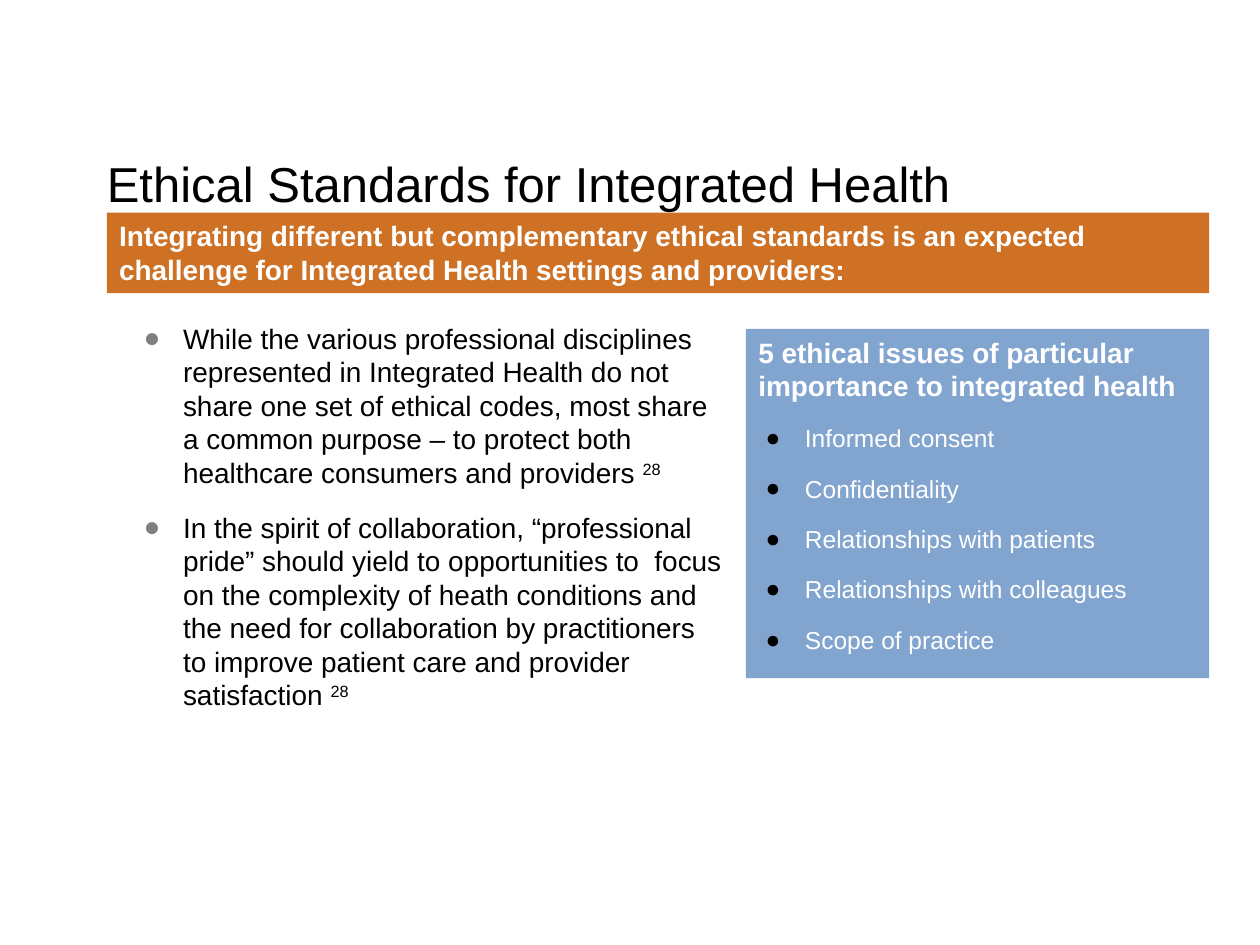
import pptx
import pptx.util
import pptx.dml.color
import pptx.enum.shapes
import pptx.enum.text
import pptx.oxml.ns
import lxml.etree

Pt = pptx.util.Pt
RGBColor = pptx.dml.color.RGBColor

BLACK = RGBColor(0x00, 0x00, 0x00)
WHITE = RGBColor(0xFF, 0xFF, 0xFF)
GREY = RGBColor(0x80, 0x80, 0x80)
ORANGE = RGBColor(0xCE, 0x71, 0x24)
BLUE = RGBColor(0x82, 0xA5, 0xD0)

TITLE = {"size": Pt(28), "color": BLACK}
HEADING = {"size": Pt(16), "color": WHITE, "bold": True}
BODY = {"size": Pt(16), "color": BLACK}
ITEM = {"size": Pt(14), "color": WHITE}

STATEMENTS = [
    "While the various professional disciplines represented in Integrated Health "
    "do not share one set of ethical codes, most share a common purpose – to "
    "protect both healthcare consumers and providers ",
    "In the spirit of collaboration, “professional pride” should yield to "
    "opportunities to  focus on the complexity of heath conditions and the need "
    "for collaboration by practitioners to improve patient care and provider "
    "satisfaction ",
]
REFERENCE = "28"
ISSUES = [
    "Informed consent",
    "Confidentiality",
    "Relationships with patients",
    "Relationships with colleagues",
    "Scope of practice",
]


def set_attributes(target, values):
    for name, value in values.items():
        setattr(target, name, value)


def prepare_frame(shape):
    frame = shape.text_frame
    set_attributes(frame, {
        "word_wrap": True,
        "auto_size": pptx.enum.text.MSO_AUTO_SIZE.NONE,
        "vertical_anchor": pptx.enum.text.MSO_ANCHOR.TOP,
        "margin_left": Pt(7.2),
        "margin_right": Pt(6),
        "margin_top": Pt(3.6),
        "margin_bottom": Pt(3.6),
    })
    return frame


def add_text_box(slide, box):
    return prepare_frame(slide.shapes.add_textbox(*map(Pt, box)))


def add_filled_box(slide, box, color):
    rectangle = pptx.enum.shapes.MSO_SHAPE.RECTANGLE
    shape = slide.shapes.add_shape(rectangle, *map(Pt, box))
    shape.shadow.inherit = False
    shape.fill.solid()
    shape.fill.fore_color.rgb = color
    shape.line.fill.background()
    return prepare_frame(shape)


def add_run(paragraph, text, style):
    run = paragraph.add_run()
    run.text = text
    set_attributes(run.font, {
        "name": "Arial",
        "size": style["size"],
        "bold": style.get("bold", False),
    })
    run.font.color.rgb = style["color"]
    return run


def add_bullet(paragraph, color, indent):
    properties = paragraph._p.get_or_add_pPr()
    properties.set("marL", str(Pt(indent)))
    properties.set("indent", str(-Pt(22.5)))
    qualify = pptx.oxml.ns.qn
    bullet_color = lxml.etree.SubElement(properties, qualify("a:buClr"))
    lxml.etree.SubElement(bullet_color, qualify("a:srgbClr"), val=str(color))
    lxml.etree.SubElement(properties, qualify("a:buFont"), typeface="Arial")
    lxml.etree.SubElement(properties, qualify("a:buChar"), char="●")


def add_paragraph(frame, text, style, bullet=None):
    first = not frame.paragraphs[0].runs
    paragraph = frame.paragraphs[0] if first else frame.add_paragraph()
    if bullet:
        add_bullet(paragraph, *bullet)
    set_attributes(paragraph, {
        "alignment": pptx.enum.text.PP_ALIGN.LEFT,
        "line_spacing": 1.0,
        "space_before": Pt(0 if first else 12),
    })
    add_run(paragraph, text, style)
    return paragraph


def add_title(slide, box):
    frame = add_text_box(slide, box)
    add_paragraph(frame, "Ethical Standards for Integrated Health", TITLE)


def add_banner(slide, box):
    frame = add_filled_box(slide, box, ORANGE)
    add_paragraph(
        frame,
        "Integrating different but complementary ethical standards is an expected "
        "challenge for Integrated Health settings and providers:",
        HEADING,
    )


def add_statements(slide, box):
    frame = add_text_box(slide, box)
    for statement in STATEMENTS:
        paragraph = add_paragraph(frame, statement, BODY, (GREY, 22.5))
        reference = add_run(paragraph, REFERENCE, BODY)
        reference._r.get_or_add_rPr().set("baseline", "30000")


def add_issues(slide, box):
    frame = add_filled_box(slide, box, BLUE)
    add_paragraph(
        frame,
        "5 ethical issues of particular importance to integrated health",
        HEADING,
    )
    for issue in ISSUES:
        add_paragraph(frame, issue, ITEM, (BLACK, 26.6))


def main():
    presentation = pptx.Presentation()
    presentation.slide_width = Pt(720)
    presentation.slide_height = Pt(540)
    slide = presentation.slides.add_slide(presentation.slide_layouts[6])
    add_banner(slide, (61, 121.5, 630, 46))
    add_title(slide, (54, 84.2, 630, 66))
    add_statements(slide, (75, 180, 345, 222))
    add_issues(slide, (426.3, 188, 264.7, 199.5))
    presentation.save("out.pptx")


if __name__ == "__main__":
    main()
